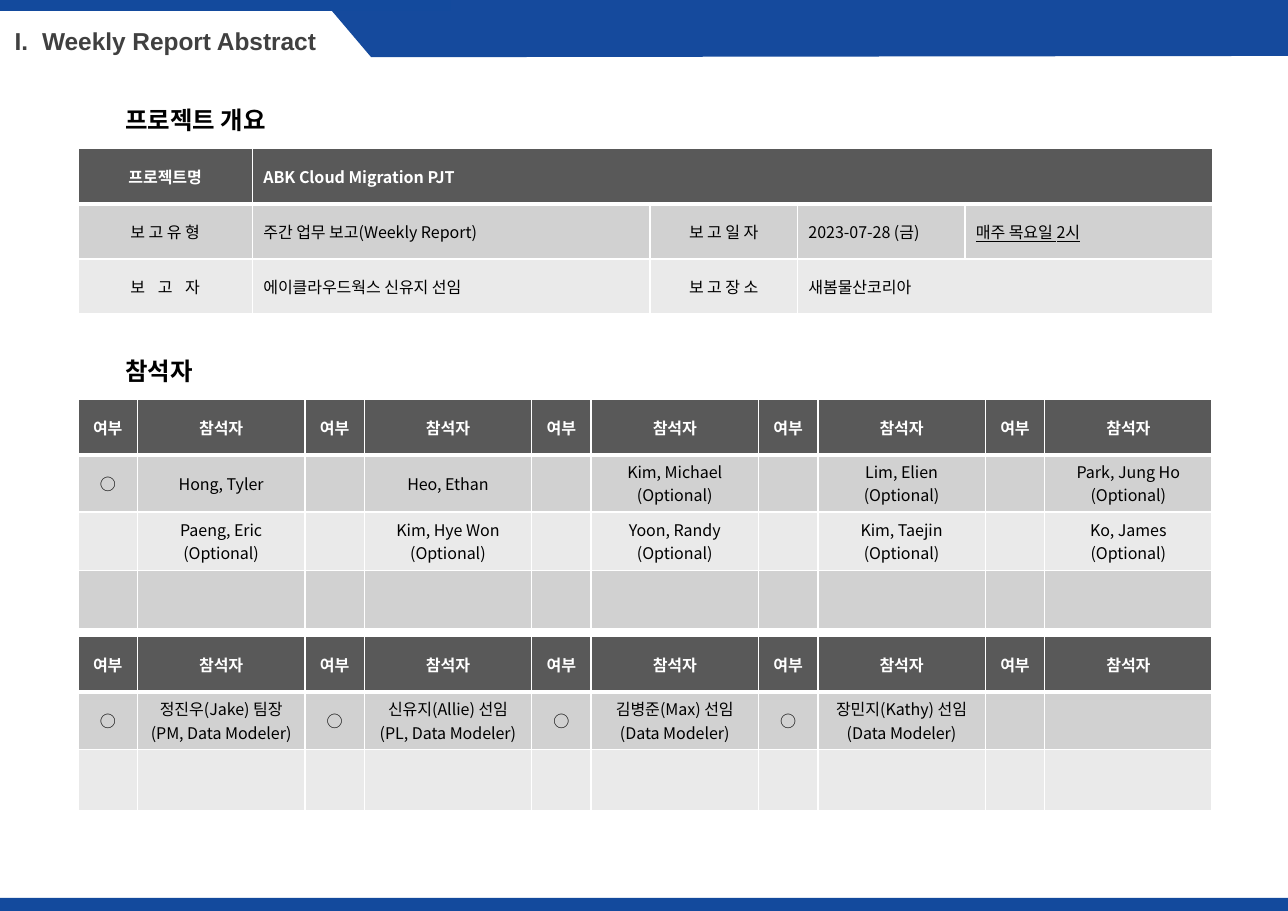
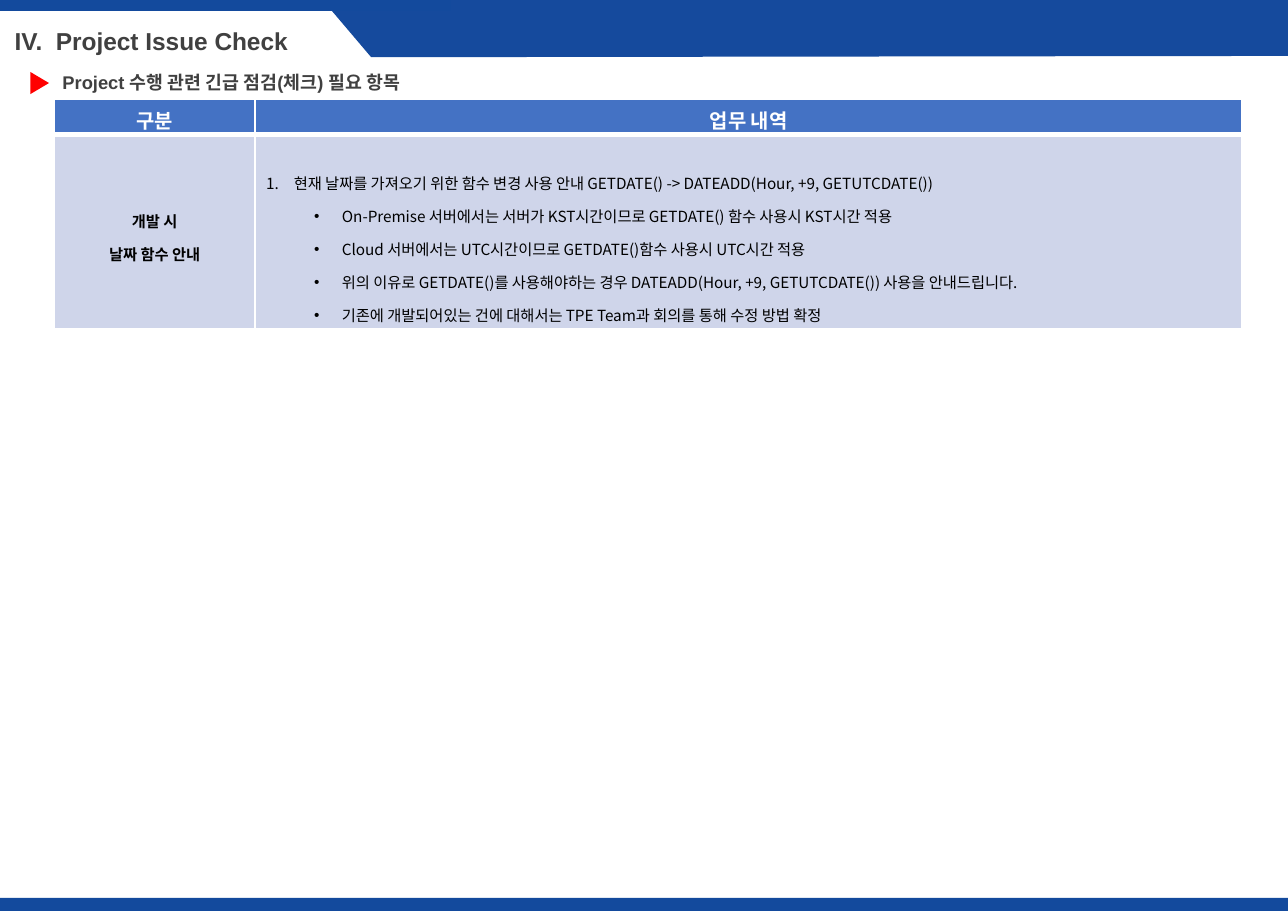
from dataclasses import dataclass

import pptx
import pptx.dml.color
import pptx.enum.shapes
import pptx.enum.text
import pptx.oxml.ns
import pptx.shapes.autoshape
import pptx.slide
import pptx.table
import pptx.text.text
import pptx.util
from lxml import etree
from pptx.util import Cm

ALIGN = pptx.enum.text.PP_ALIGN
ANCHOR = pptx.enum.text.MSO_ANCHOR
SHAPE = pptx.enum.shapes.MSO_SHAPE


@dataclass(frozen=True)
class Theme:
    band: str = "134A9D"
    title_band: str = "154A9D"
    title: str = "404040"
    ink: str = "000000"
    white: str = "FFFFFF"
    marker: str = "FF0000"
    grey_header: str = "595959"
    grey_rows: tuple[str, str] = ("D1D1D1", "EAEAEA")
    blue_header: str = "4472C4"
    blue_rows: tuple[str, str] = ("CFD5EA", "CFD5EA")
    latin: str = "Arial"
    korean: str = "Noto Sans CJK KR"
    title_size: float = 16
    subtitle_size: float = 12
    grid_size: float = 10.5
    issue_header_size: float = 13
    issue_size: float = 10
    thin: float = 1
    thick: float = 3


THEME = Theme()


@dataclass(frozen=True)
class TextStyle:
    size: float
    color: str
    bold: bool = False
    latin: str = THEME.korean
    underline: bool = False
    tracking: float = 0


@dataclass(frozen=True)
class Entry:
    text: str = ""
    span: int = 1
    centred: bool = True
    underline: bool = False
    tracking: float = 0


@dataclass(frozen=True)
class Grid:
    left: float
    top: float
    columns: list[float]
    heights: list[float]
    rows: list[list[Entry]]
    header_fill: str
    row_fills: tuple[str, str]
    header_style: TextStyle
    body_style: TextStyle


TITLE_STYLE = TextStyle(THEME.title_size, THEME.title, True, THEME.latin)
SUBTITLE_STYLE = TextStyle(THEME.subtitle_size, THEME.title, True, THEME.latin)
HEADING_STYLE = TextStyle(THEME.title_size, THEME.ink, True)
GRID_HEADER = TextStyle(THEME.grid_size, THEME.white, True)
GRID_BODY = TextStyle(THEME.grid_size, THEME.ink)
ISSUE_HEADER = TextStyle(THEME.issue_header_size, THEME.white, True)
ISSUE_BODY = TextStyle(THEME.issue_size, THEME.ink)


def rgb(color: str) -> pptx.dml.color.RGBColor:
    return pptx.dml.color.RGBColor.from_string(color)


def qn(tag: str) -> str:
    return pptx.oxml.ns.qn(tag)


def style_paragraph(paragraph: pptx.text.text._Paragraph, style: TextStyle,
                    align: ALIGN = ALIGN.LEFT) -> None:
    paragraph.alignment = align
    font = paragraph.font
    font.size = pptx.util.Pt(style.size)
    font.bold = style.bold
    font.underline = style.underline
    font.name = style.latin
    font.color.rgb = rgb(style.color)
    defaults = paragraph._p.pPr.find(qn("a:defRPr"))
    etree.SubElement(defaults, qn("a:ea"), typeface=THEME.korean)
    if style.tracking:
        defaults.set("spc", str(round(style.tracking * 100)))


def hang(paragraph: pptx.text.text._Paragraph, margin: float, hanging: float) -> None:
    properties = paragraph._p.get_or_add_pPr()
    properties.set("marL", str(Cm(margin)))
    properties.set("indent", str(-Cm(hanging)))


def add_bullet(paragraph: pptx.text.text._Paragraph, tag: str, **attributes: str) -> None:
    defaults = paragraph._p.pPr.find(qn("a:defRPr"))
    bullet = etree.Element(qn(tag), **attributes)
    defaults.addprevious(bullet)
    bullet.addprevious(etree.Element(qn("a:buFont"), typeface=THEME.latin))


def paint(shape: pptx.shapes.autoshape.Shape, color: str) -> None:
    shape.shadow.inherit = False
    shape.fill.solid()
    shape.fill.fore_color.rgb = rgb(color)
    shape.line.fill.background()


def add_frame(layout: pptx.slide.SlideLayout, slide: pptx.slide.Slide) -> None:
    footer = slide.shapes.add_shape(SHAPE.RECTANGLE, 0, Cm(20.7), Cm(29.7), Cm(0.3))
    outline = slide.shapes.build_freeform(Cm(7.44), 0)
    outline.add_line_segments(
        [(Cm(29.7), 0), (Cm(29.7), Cm(1.29)), (Cm(8.56), Cm(1.32))], close=True)
    title_band = outline.convert_to_shape()
    top_strip = slide.shapes.add_shape(SHAPE.RECTANGLE, 0, 0, Cm(10.4), Cm(0.25))
    bands = [(footer, THEME.band), (title_band, THEME.title_band), (top_strip, THEME.band)]
    for position, (band, color) in enumerate(bands, start=2):
        paint(band, color)
        layout.shapes.element.insert(position, band.element)


def set_title(slide: pptx.slide.Slide, number: str, text: str, hanging: float) -> None:
    title = slide.shapes.title
    title.left, title.top, title.width, title.height = Cm(0.06), Cm(0.46), Cm(8), Cm(0.97)
    frame = title.text_frame
    frame.text = f"{number}\t{text}"
    frame.auto_size = pptx.enum.text.MSO_AUTO_SIZE.NONE
    frame.vertical_anchor = ANCHOR.MIDDLE
    frame.margin_left = frame.margin_right = Cm(0.28)
    frame.margin_top = frame.margin_bottom = Cm(0.15)
    style_paragraph(frame.paragraphs[0], TITLE_STYLE)
    hang(frame.paragraphs[0], hanging, hanging)


def add_label(slide: pptx.slide.Slide, text: str, left: float, top: float,
              width: float, height: float, style: TextStyle) -> None:
    frame = slide.shapes.add_textbox(Cm(left), Cm(top), Cm(width), Cm(height)).text_frame
    frame.word_wrap = True
    frame.vertical_anchor = ANCHOR.MIDDLE
    frame.text = text
    style_paragraph(frame.paragraphs[0], style)


def set_borders(cell: pptx.table._Cell, row: int) -> None:
    widths = {
        "a:lnL": THEME.thin,
        "a:lnR": THEME.thin,
        "a:lnT": THEME.thick if row == 1 else THEME.thin,
        "a:lnB": THEME.thick if row == 0 else THEME.thin,
    }
    properties = cell._tc.get_or_add_tcPr()
    for tag, width in widths.items():
        line = etree.SubElement(properties, qn(tag), w=str(pptx.util.Pt(width)))
        fill = etree.SubElement(line, qn("a:solidFill"))
        etree.SubElement(fill, qn("a:srgbClr"), val=THEME.white)


def fill_entry(cell: pptx.table._Cell, entry: Entry, base: TextStyle) -> None:
    cell.text = entry.text
    cell.vertical_anchor = ANCHOR.MIDDLE
    cell.margin_top = cell.margin_bottom = 0
    if entry.centred:
        cell.margin_left = cell.margin_right = Cm(0.18)
    style = TextStyle(base.size, base.color, base.bold, base.latin,
                      entry.underline, entry.tracking)
    for paragraph in cell.text_frame.paragraphs:
        style_paragraph(paragraph, style, ALIGN.CENTER if entry.centred else ALIGN.LEFT)


def add_grid(slide: pptx.slide.Slide, grid: Grid) -> pptx.table.Table:
    table = slide.shapes.add_table(
        len(grid.heights), len(grid.columns), Cm(grid.left), Cm(grid.top),
        Cm(sum(grid.columns)), Cm(sum(grid.heights))).table
    table.first_row = table.horz_banding = False
    for column, width in zip(table.columns, grid.columns):
        column.width = Cm(width)
    for r, (height, entries) in enumerate(zip(grid.heights, grid.rows)):
        table.rows[r].height = Cm(height)
        for cell in table.rows[r].cells:
            set_borders(cell, r)
            cell.fill.solid()
            cell.fill.fore_color.rgb = rgb(
                grid.row_fills[(r - 1) % 2] if r else grid.header_fill)
        c = 0
        for entry in entries:
            cell = table.cell(r, c)
            if entry.span > 1:
                cell.merge(table.cell(r, c + entry.span - 1))
            fill_entry(cell, entry, grid.body_style if r else grid.header_style)
            c += entry.span
    return table


def grey_grid(top: float, columns: list[float], heights: list[float],
              rows: list[list[Entry]]) -> Grid:
    return Grid(1.8, top, columns, heights, rows, THEME.grey_header,
                THEME.grey_rows, GRID_HEADER, GRID_BODY)


def attendee_row(names: list[str], present: int) -> list[Entry]:
    return [Entry(text) for i, name in enumerate(names)
            for text in ("○" if i < present else "", name)]


def build_abstract(slide: pptx.slide.Slide) -> None:
    set_title(slide, "I.", "Weekly Report Abstract", 0.63)
    for heading, top in (("프로젝트 개요", 2.3), ("참석자", 8.07)):
        add_label(slide, heading, 2.64, top, 18.4, 0.94, HEADING_STYLE)
    add_grid(slide, grey_grid(3.43, [4.02, 9.17, 3.4, 3.86, 5.71], [1.27] * 3, [
        [Entry("프로젝트명"), Entry("ABK Cloud Migration PJT", span=4, centred=False)],
        [Entry("보 고 유 형"), Entry("주간 업무 보고(Weekly Report)", centred=False),
         Entry("보 고 일 자"), Entry("2023-07-28 (금)", centred=False),
         Entry("매주 목요일 2시", centred=False, underline=True)],
        [Entry("보 고 자", tracking=3), Entry("에이클라우드웍스 신유지 선임", centred=False),
         Entry("보 고 장 소"), Entry("새봄물산코리아", span=2, centred=False)],
    ]))
    columns = [1.37, 3.86] * 5
    header = [Entry("여부"), Entry("참석자")] * 5
    nobody = [Entry()] * len(columns)
    add_grid(slide, grey_grid(9.21, columns, [1.27, 1.32, 1.35, 1.35], [
        header,
        attendee_row(["Hong, Tyler", "Heo, Ethan", "Kim, Michael\n(Optional)",
                      "Lim, Elien\n(Optional)", "Park, Jung Ho\n(Optional)"], 1),
        attendee_row(["Paeng, Eric\n(Optional)", "Kim, Hye Won\n(Optional)",
                      "Yoon, Randy\n(Optional)", "Kim, Taejin\n(Optional)",
                      "Ko, James\n(Optional)"], 0),
        nobody,
    ]))
    add_grid(slide, grey_grid(14.68, columns, [1.27, 1.32, 1.42], [
        header,
        attendee_row(["정진우(Jake) 팀장\n(PM, Data Modeler)",
                      "신유지(Allie) 선임\n(PL, Data Modeler)",
                      "김병준(Max) 선임\n(Data Modeler)",
                      "장민지(Kathy) 선임\n(Data Modeler)", ""], 4),
        nobody,
    ]))


def build_issues(slide: pptx.slide.Slide) -> None:
    set_title(slide, "IV.", "Project Issue Check", 0.95)
    add_label(slide, "Project 수행 관련 긴급 점검(체크) 필요 항목",
              1.19, 1.5, 25.12, 0.79, SUBTITLE_STYLE)
    marker = slide.shapes.add_shape(
        SHAPE.ISOSCELES_TRIANGLE, Cm(0.66), Cm(1.7), Cm(0.51), Cm(0.43))
    marker.rotation = 90
    paint(marker, THEME.marker)
    guidance = "\n".join([
        "현재 날짜를 가져오기 위한 함수 변경 사용 안내 GETDATE() -> DATEADD(Hour, +9, GETUTCDATE())",
        "On-Premise 서버에서는 서버가 KST시간이므로 GETDATE() 함수 사용시 KST시간 적용",
        "Cloud 서버에서는 UTC시간이므로 GETDATE()함수 사용시 UTC시간 적용",
        "위의 이유로 GETDATE()를 사용해야하는 경우 DATEADD(Hour, +9, GETUTCDATE()) 사용을 안내드립니다.",
        "기존에 개발되어있는 건에 대해서는 TPE Team과 회의를 통해 수정 방법 확정",
    ])
    table = add_grid(slide, Grid(
        1.25, 2.3, [4.63, 22.76], [0.8, 4.48],
        [[Entry("구분"), Entry("업무 내역")],
         [Entry("개발 시\n날짜 함수 안내"), Entry(guidance, centred=False)]],
        THEME.blue_header, THEME.blue_rows, ISSUE_HEADER, ISSUE_BODY))
    for cell in table.rows[0].cells:
        cell.margin_top = Cm(0.11)
    topic, details = table.rows[1].cells
    for paragraph in topic.text_frame.paragraphs:
        paragraph.font.bold = True
        paragraph.line_spacing = 1.5
    details.vertical_anchor = ANCHOR.TOP
    details.margin_top = Cm(0.61)
    for i, paragraph in enumerate(details.text_frame.paragraphs):
        paragraph.line_spacing = 1.5
        if i:
            paragraph.level = 1
            hang(paragraph, 1.75, 0.64)
            add_bullet(paragraph, "a:buChar", char="•")
        else:
            hang(paragraph, 0.64, 0.64)
            add_bullet(paragraph, "a:buAutoNum", type="arabicPeriod")


def main() -> None:
    deck = pptx.Presentation()
    deck.slide_width, deck.slide_height = Cm(29.7), Cm(21)
    layout = deck.slide_layouts[5]
    abstract, issues = (deck.slides.add_slide(layout) for _ in range(2))
    add_frame(layout, abstract)
    build_abstract(abstract)
    build_issues(issues)
    deck.save("out.pptx")


if __name__ == "__main__":
    main()
